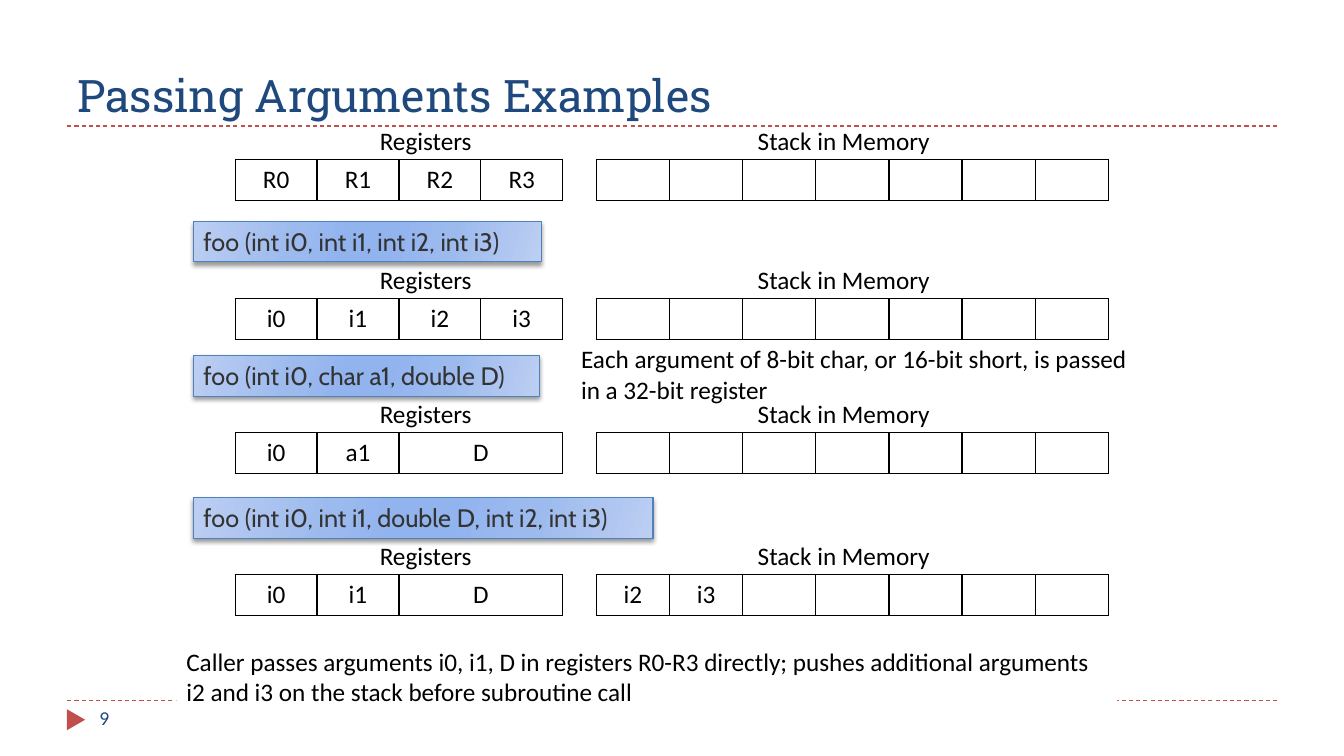
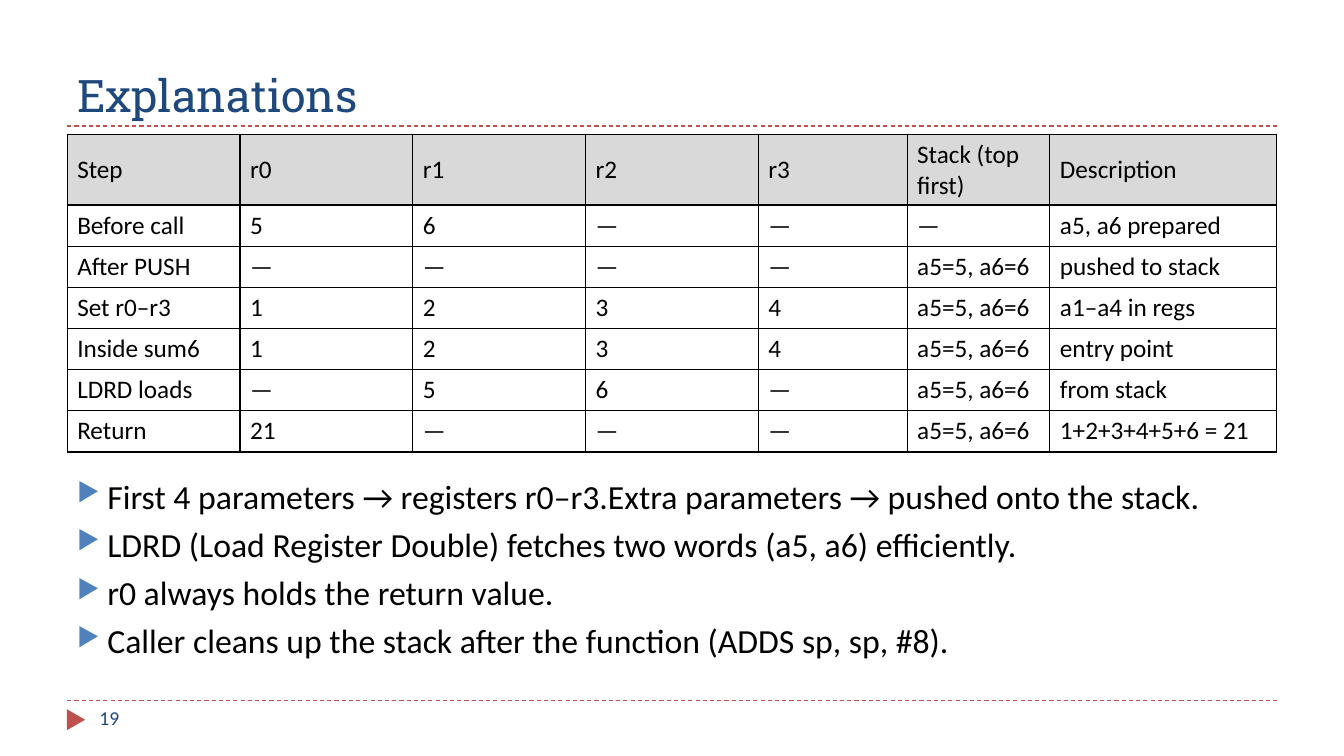
from dataclasses import dataclass
from typing import Optional

from pptx import Presentation
from pptx.dml.color import RGBColor
from pptx.enum.dml import MSO_LINE
from pptx.enum.shapes import MSO_CONNECTOR, MSO_SHAPE
from pptx.enum.text import MSO_ANCHOR, PP_ALIGN
from pptx.oxml import parse_xml
from pptx.oxml.ns import nsdecls, qn
from pptx.slide import Slide
from pptx.text.text import TextFrame
from pptx.util import Pt

DASH = MSO_LINE.DASH
STRAIGHT = MSO_CONNECTOR.STRAIGHT
RECT, TRIANGLE = MSO_SHAPE.RECTANGLE, MSO_SHAPE.ISOSCELES_TRIANGLE
TOP, MIDDLE, BOTTOM = MSO_ANCHOR.TOP, MSO_ANCHOR.MIDDLE, MSO_ANCHOR.BOTTOM
LEFT, CENTER = PP_ALIGN.LEFT, PP_ALIGN.CENTER

BLACK = RGBColor(0x00, 0x00, 0x00)
WHITE = RGBColor(0xFF, 0xFF, 0xFF)
NAVY = RGBColor(0x1F, 0x49, 0x7D)
RED = RGBColor(0xC0, 0x50, 0x4D)
BLUE = RGBColor(0x4F, 0x81, 0xBD)
CHARCOAL = RGBColor(0x33, 0x33, 0x33)
HEADER_GREY = RGBColor(0xD9, 0xD9, 0xD9)
PALE = RGBColor(0xBC, 0xCE, 0xF2)
SOFT = RGBColor(0x9C, 0xBA, 0xEE)
MID = RGBColor(0x91, 0xB3, 0xEE)
CALL_STOPS = [(0, PALE), (30, SOFT), (45, MID), (55, MID), (73, SOFT), (100, PALE)]

MARGIN, CONTENT_W = 48, 864
RULES_Y = (500.4, 90)
REG_X, REG_W = 168, 58.5
STACK_X, STACK_W, STACK_SLOTS = 426, 52.25, 7
ROW_H = 29.4


@dataclass(frozen=True)
class Style:
    size: float = 18
    font: str = "Calibri"
    color: RGBColor = BLACK


@dataclass(frozen=True)
class Box:
    x: float
    y: float
    w: float
    h: float


@dataclass(frozen=True)
class Call:
    text: str
    w: float


@dataclass(frozen=True)
class Example:
    y: float
    registers: list[str]
    stack: list[str]
    call: Optional[Call] = None


BODY = Style()
TITLE = Style(32, "Roboto Slab", NAVY)
NUMBER = Style(14, "Calibri", NAVY)
CODE = Style(18, "Cabin", CHARCOAL)
BULLET = Style(24.1)

EXAMPLES = [
    Example(113.8, ["R0", "R1", "R2", "R3"], []),
    Example(213.1, ["i0", "i1", "i2", "i3"], [],
            Call("foo (int i0, int i1, int i2, int i3)", 248.4)),
    Example(308.9, ["i0", "a1", "D"], [],
            Call("foo (int i0, char a1, double D)", 247)),
    Example(410.4, ["i0", "i1", "D"], ["i2", "i3"],
            Call("foo (int i0, int i1, double D, int i2, int i3)", 328.3)),
]
CHAR_NOTE = "Each argument of 8-bit char, or 16-bit short, is passed in a 32-bit register"
CALLER_NOTE = ("Caller passes arguments i0, i1, D in registers R0-R3 directly; "
               "pushes additional arguments i2 and i3 on the stack before subroutine call")

STEP_WIDTHS = [123.4] * 4 + [106.4, 102, 162]
STEPS = [
    ["Step", "r0", "r1", "r2", "r3", "Stack (top first)", "Description"],
    ["Before call", "5", "6", "—", "—", "—", "a5, a6 prepared"],
    ["After PUSH", "—", "—", "—", "—", "a5=5, a6=6", "pushed to stack"],
    ["Set r0–r3", "1", "2", "3", "4", "a5=5, a6=6", "a1–a4 in regs"],
    ["Inside sum6", "1", "2", "3", "4", "a5=5, a6=6", "entry point"],
    ["LDRD loads", "—", "5", "6", "—", "a5=5, a6=6", "from stack"],
    ["Return", "21", "—", "—", "—", "a5=5, a6=6", "1+2+3+4+5+6 = 21"],
]
POINTS = [
    "First 4 parameters → registers r0–r3.Extra parameters → pushed onto the stack.",
    "LDRD (Load Register Double) fetches two words (a5, a6) efficiently.",
    "r0 always holds the return value.",
    "Caller cleans up the stack after the function (ADDS sp, sp, #8).",
]


def write(tf: TextFrame, text: str, style: Style, align: PP_ALIGN = LEFT) -> None:
    tf.text = text
    for p in tf.paragraphs:
        p.alignment = align
        for r in p.runs:
            r.font.size = Pt(style.size)
            r.font.name = style.font
            r.font.color.rgb = style.color


def add_text(s: Slide, box: Box, text: str, style: Style,
             anchor: MSO_ANCHOR = TOP, wrap: bool = True) -> TextFrame:
    sp = s.shapes.add_textbox(Pt(box.x), Pt(box.y), Pt(box.w), Pt(box.h))
    tf = sp.text_frame
    tf.word_wrap = wrap
    tf.vertical_anchor = anchor
    write(tf, text, style)
    return tf


def add_box(s: Slide, kind: MSO_SHAPE, box: Box, fill: RGBColor):
    sp = s.shapes.add_shape(kind, Pt(box.x), Pt(box.y), Pt(box.w), Pt(box.h))
    sp.shadow.inherit = False
    sp.fill.solid()
    sp.fill.fore_color.rgb = fill
    sp.line.fill.background()
    return sp


def add_note(s: Slide, box: Box, text: str) -> None:
    tf = add_box(s, RECT, box, WHITE).text_frame
    tf.word_wrap = True
    tf.vertical_anchor = MIDDLE
    write(tf, text, BODY)


def add_call(s: Slide, y: float, call: Call) -> None:
    sp = add_box(s, RECT, Box(138.2, y, call.w, 29), MID)
    sp.line.color.rgb = BLUE
    sp.line.width = Pt(0.75)
    stops = "".join(f'<a:gs pos="{pos * 1000}"><a:srgbClr val="{color}"/></a:gs>'
                    for pos, color in CALL_STOPS)
    sppr = sp._element.spPr
    sppr.replace(sppr.find(qn("a:solidFill")), parse_xml(
        f'<a:gradFill {nsdecls("a")} rotWithShape="1"><a:gsLst>{stops}</a:gsLst>'
        '<a:lin ang="960000" scaled="0"/></a:gradFill>'))
    sppr.find(qn("a:effectLst")).append(parse_xml(
        f'<a:outerShdw {nsdecls("a")} blurRad="{Pt(3)}" dist="{Pt(2)}" dir="5400000" '
        'rotWithShape="0"><a:srgbClr val="000000"><a:alpha val="40000"/>'
        '</a:srgbClr></a:outerShdw>'))
    tf = sp.text_frame
    tf.word_wrap = True
    tf.vertical_anchor = TOP
    write(tf, call.text, CODE)


def add_grid(s: Slide, x: float, y: float, widths: list[float], heights: list[float],
             rows: list[list[str]], align: PP_ALIGN = LEFT,
             header: Optional[RGBColor] = None) -> None:
    frame = s.shapes.add_table(len(rows), len(widths), Pt(x), Pt(y),
                               Pt(sum(widths)), Pt(sum(heights)))
    table = frame.table
    table.first_row = table.horz_banding = False
    for column, w in zip(table.columns, widths):
        column.width = Pt(w)
    for i, texts in enumerate(rows):
        table.rows[i].height = Pt(heights[i])
        for j, text in enumerate(texts):
            cell = table.cell(i, j)
            cell.vertical_anchor = MIDDLE
            write(cell.text_frame, text, BODY, align)
            tcpr = cell._tc.get_or_add_tcPr()
            for side in "LRTB":
                tcpr.append(parse_xml(
                    f'<a:ln{side} {nsdecls("a")} w="{Pt(1)}"><a:solidFill>'
                    f'<a:srgbClr val="{BLACK}"/></a:solidFill></a:ln{side}>'))
            if header is not None and i == 0:
                cell.fill.solid()
                cell.fill.fore_color.rgb = header
            else:
                cell.fill.background()


def add_example(s: Slide, ex: Example) -> None:
    if ex.call:
        add_call(s, ex.y - 55, ex.call)
    widths = [REG_W] * len(ex.registers)
    widths[-1] = REG_W * (5 - len(ex.registers))
    add_grid(s, REG_X, ex.y, widths, [ROW_H], [ex.registers], CENTER)
    slots = ex.stack + [""] * (STACK_SLOTS - len(ex.stack))
    add_grid(s, STACK_X, ex.y, [STACK_W] * STACK_SLOTS, [ROW_H], [slots], CENTER)
    for x, w, label in ((264.2, 82, "Registers"), (534.2, 139, "Stack in Memory")):
        add_text(s, Box(x, ex.y - 27.8, w, 29), label, BODY, wrap=False)


def add_bullets(s: Slide, box: Box, points: list[str]) -> None:
    tf = add_text(s, box, "\n".join(points), BULLET)
    for p in tf.paragraphs:
        p.space_before = Pt(5.5)
        ppr = p._p.get_or_add_pPr()
        ppr.set("marL", str(Pt(21.6)))
        ppr.set("indent", str(Pt(-21.6)))
        for tag in (f'buClr {nsdecls("a")}><a:srgbClr val="{BLUE}"/></a:buClr',
                    f'buSzPct {nsdecls("a")} val="76000"/',
                    f'buChar {nsdecls("a")} char="▶"/'):
            ppr.append(parse_xml(f"<a:{tag}>"))


def add_slide(prs: Presentation, title: str, number: int) -> Slide:
    s = prs.slides.add_slide(prs.slide_layouts[6])
    for y in RULES_Y:
        rule = s.shapes.add_connector(STRAIGHT, Pt(MARGIN), Pt(y),
                                      Pt(MARGIN + CONTENT_W), Pt(y))
        rule.line.color.rgb = RED
        rule.line.width = Pt(0.75)
        rule.line.dash_style = DASH
        rule._element.spPr.append(parse_xml(f'<a:effectLst {nsdecls("a")}/>'))
    add_box(s, TRIANGLE, Box(46.8, 507.6, 15, 13), RED).rotation = 90
    add_text(s, Box(MARGIN, 12, CONTENT_W, 78), title, TITLE, BOTTOM)
    add_text(s, Box(64, 500.4, 208, 29), str(number), NUMBER)
    return s


def main() -> None:
    prs = Presentation()
    prs.slide_width, prs.slide_height = Pt(960), Pt(540)

    s = add_slide(prs, "Passing Arguments Examples", 9)
    add_note(s, Box(408, 240, 417, 54), CHAR_NOTE)
    for ex in EXAMPLES:
        add_example(s, ex)
    add_note(s, Box(126, 456, 672, 54), CALLER_NOTE)

    s = add_slide(prs, "Explanations", 19)
    heights = [48] + [ROW_H] * (len(STEPS) - 1)
    add_grid(s, MARGIN, 96, STEP_WIDTHS, heights, STEPS, header=HEADER_GREY)
    add_bullets(s, Box(MARGIN, 336, CONTENT_W, 149), POINTS)

    prs.save("out.pptx")


if __name__ == "__main__":
    main()
